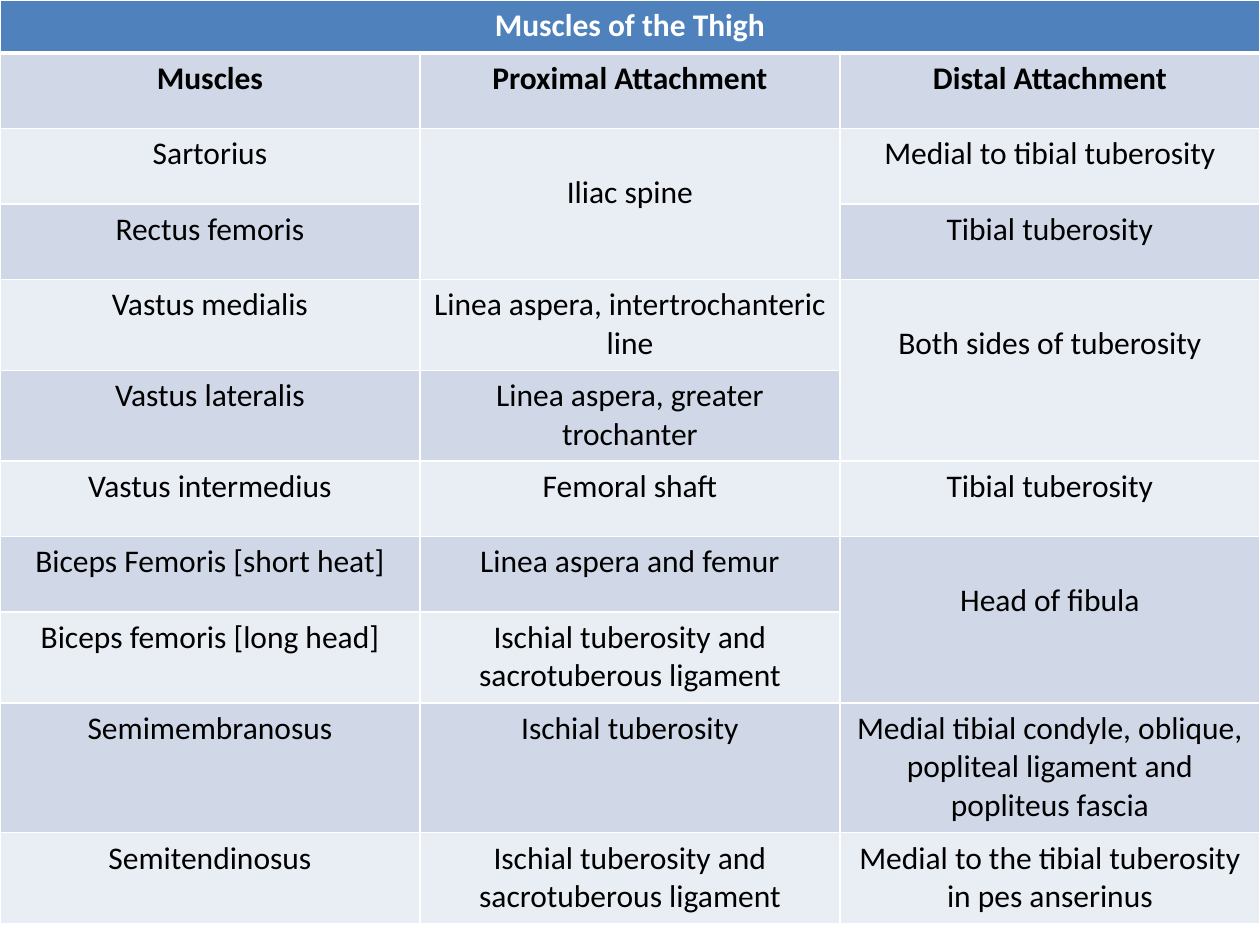
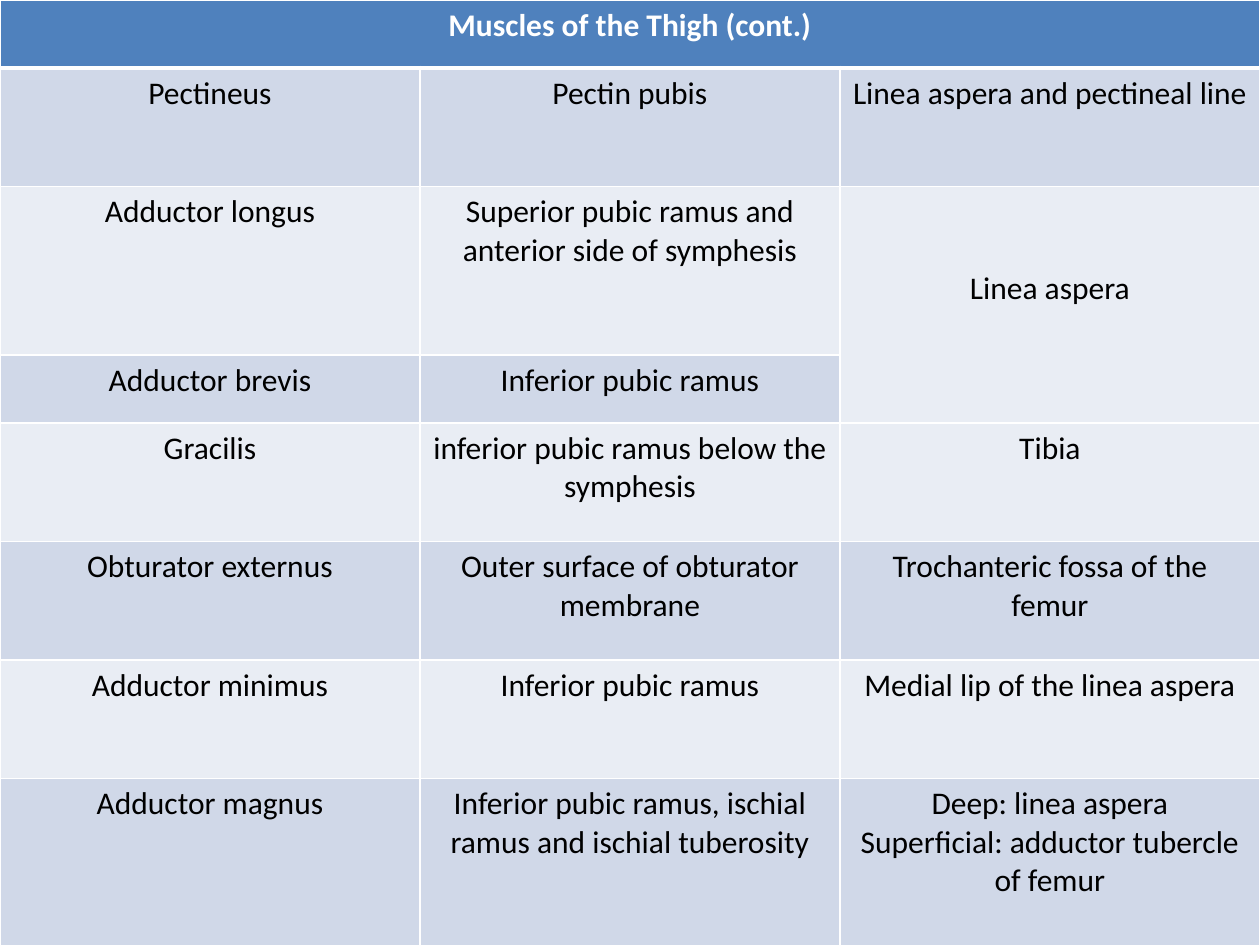
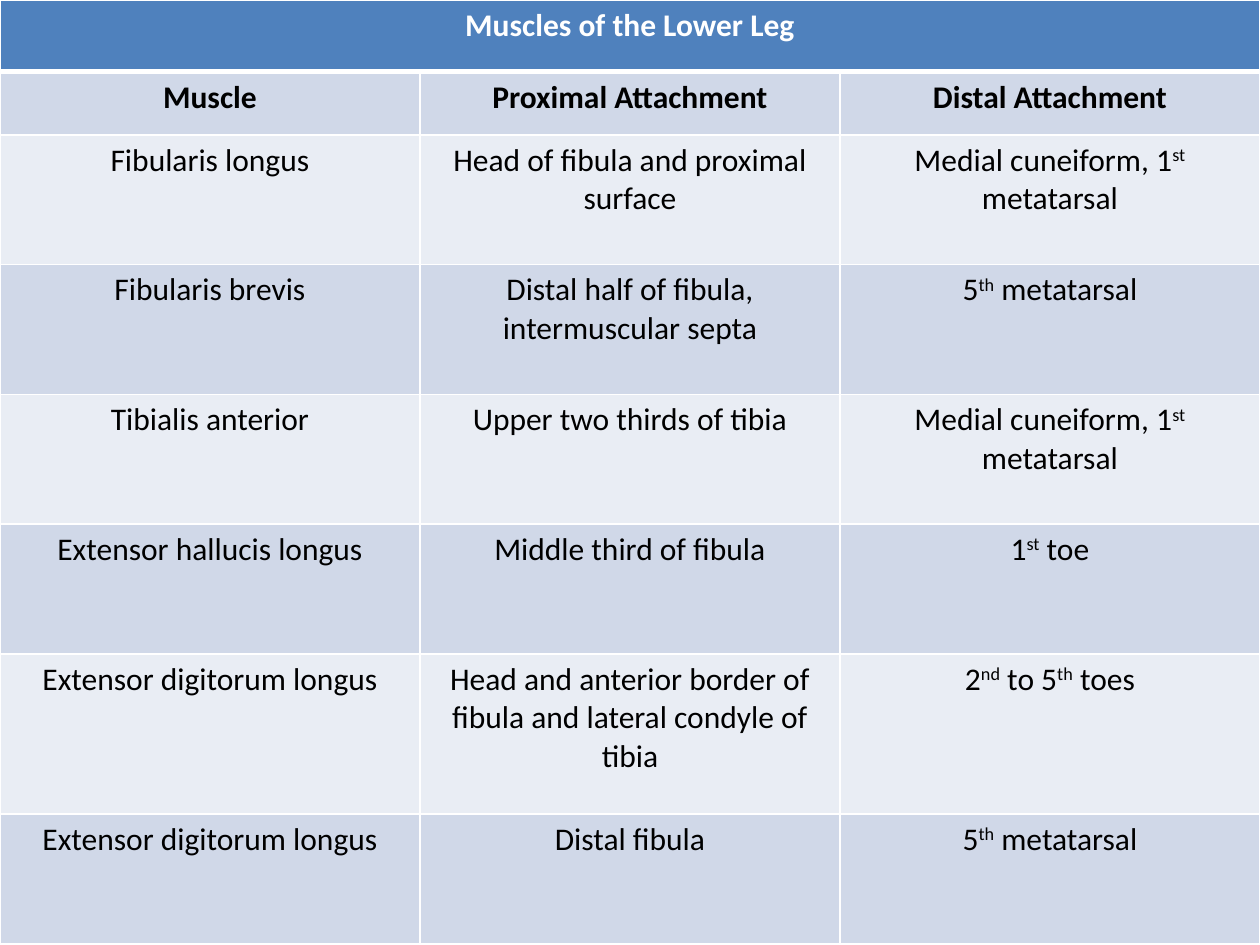
from lxml import etree
from pptx import Presentation
from pptx.dml.color import RGBColor
from pptx.enum.text import PP_ALIGN as Align
from pptx.oxml.ns import qn
from pptx.util import Inches, Pt

# Shared style
HEADER_BLUE = RGBColor(0x4F, 0x81, 0xBD)
BAND_DARK = RGBColor(0xD0, 0xD8, 0xE8)
BAND_LIGHT = RGBColor(0xE9, 0xED, 0xF4)
WHITE = RGBColor(0xFF, 0xFF, 0xFF)
BLACK = RGBColor(0, 0, 0)
FONT = "Calibri"
TEXT_SIZE = Pt(18)
LINE_HEIGHT = 0.305
THIN, THICK = Pt(1), Pt(3)
COLUMNS = 3
WIDTH, HEIGHT = Inches(10), Inches(7.5)

# Table content: None continues the cell above, ^...^ is superscript
ATTACHMENTS = ("Proximal Attachment", "Distal Attachment")
THIGH = [
    ("Muscles", *ATTACHMENTS),
    ("Sartorius", "Iliac spine", "Medial to tibial tuberosity"),
    ("Rectus femoris", None, "Tibial tuberosity"),
    ("Vastus medialis", "Linea aspera, intertrochanteric line",
     "Both sides of tuberosity"),
    ("Vastus lateralis", "Linea aspera, greater trochanter", None),
    ("Vastus intermedius", "Femoral shaft", "Tibial tuberosity"),
    ("Biceps Femoris [short heat]", "Linea aspera and femur", "Head of fibula"),
    ("Biceps femoris [long head]",
     "Ischial tuberosity and sacrotuberous ligament", None),
    ("Semimembranosus", "Ischial tuberosity",
     "Medial tibial condyle, oblique, popliteal ligament and popliteus fascia"),
    ("Semitendinosus", "Ischial tuberosity and sacrotuberous ligament",
     "Medial to the tibial tuberosity in pes anserinus"),
]
THIGH_CONTINUED = [
    ("Pectineus", "Pectin pubis", "Linea aspera and pectineal line"),
    ("Adductor longus", "Superior pubic ramus and anterior side of symphesis",
     "Linea aspera"),
    ("Adductor brevis", "Inferior pubic ramus", None),
    ("Gracilis", "inferior pubic ramus below the symphesis", "Tibia"),
    ("Obturator externus", "Outer surface of obturator membrane",
     "Trochanteric fossa of the femur"),
    ("Adductor minimus", "Inferior pubic ramus", "Medial lip of the linea aspera"),
    ("Adductor magnus",
     "Inferior pubic ramus, ischial ramus and ischial tuberosity",
     "Deep: linea aspera\nSuperficial: adductor tubercle of femur"),
]
LOWER_LEG = [
    ("Muscle", *ATTACHMENTS),
    ("Fibularis longus", "Head of fibula and proximal surface",
     "Medial cuneiform, 1^st^ metatarsal"),
    ("Fibularis brevis", "Distal half of fibula, intermuscular septa",
     "5^th^ metatarsal"),
    ("Tibialis anterior", "Upper two thirds of tibia",
     "Medial cuneiform, 1^st^ metatarsal"),
    ("Extensor hallucis longus", "Middle third of fibula", "1^st^ toe"),
    ("Extensor digitorum longus",
     "Head and anterior border of fibula and lateral condyle of tibia",
     "2^nd^ to 5^th^ toes"),
    ("Extensor digitorum longus", "Distal fibula", "5^th^ metatarsal"),
]


class MuscleDeck:
    """Holds the presentation, the current slide and the table style."""

    def __init__(self):
        self.presentation = Presentation()
        self.presentation.slide_width = WIDTH
        self.presentation.slide_height = HEIGHT
        self.slide = None

    def add_slide(self):
        blank = self.presentation.slide_layouts[6]
        self.slide = self.presentation.slides.add_slide(blank)

    def fill_text(self, cell, text, color, bold):
        text_frame = cell.text_frame
        for index, line in enumerate(text.split("\n")):
            paragraph = text_frame.add_paragraph() if index else text_frame.paragraphs[0]
            paragraph.alignment = Align.CENTER
            for part, words in enumerate(line.split("^")):
                run = paragraph.add_run()
                run.text = words
                run.font.name, run.font.size = FONT, TEXT_SIZE
                run.font.bold = bold
                run.font.color.rgb = color
                if part % 2:
                    run.font._element.set("baseline", "30000")

    def style_cell(self, cell, fill, top=THIN, bottom=THIN):
        cell.fill.solid()
        cell.fill.fore_color.rgb = fill
        properties = cell._tc.get_or_add_tcPr()
        sides = {"lnL": THIN, "lnR": THIN, "lnT": top, "lnB": bottom}
        for index, (side, width) in enumerate(sides.items()):
            border = etree.Element(qn(f"a:{side}"), w=str(int(width)))
            solid = etree.SubElement(border, qn("a:solidFill"))
            etree.SubElement(solid, qn("a:srgbClr"), val=str(WHITE))
            properties.insert(index, border)

    def add_table(self, title, rows, row_heights, has_heads=True, lowered_lines=1):
        """Draw a titled table; merged cells start lowered_lines further down."""
        frame = self.slide.shapes.add_table(
            len(rows) + 1, COLUMNS, 0, 0, WIDTH, Inches(sum(row_heights)))
        table = frame.table
        table.first_row = table.horz_banding = False
        for row, height in zip(table.rows, row_heights):
            row.height = Inches(height)

        # Title row
        for column in range(COLUMNS):
            self.style_cell(table.cell(0, column), HEADER_BLUE, bottom=THICK)
        table.cell(0, 0).merge(table.cell(0, COLUMNS - 1))
        self.fill_text(table.cell(0, 0), title, WHITE, True)

        # Banded body rows
        for row_index, texts in enumerate(rows, start=1):
            fill = BAND_DARK if row_index % 2 else BAND_LIGHT
            top = THICK if row_index == 1 else THIN
            for column, text in enumerate(texts):
                cell = table.cell(row_index, column)
                self.style_cell(cell, fill, top=top)
                if text is None:
                    above = table.cell(row_index - 1, column)
                    above.merge(cell)
                    above.margin_top = Inches(0.05 + lowered_lines * LINE_HEIGHT)
                else:
                    self.fill_text(cell, text, BLACK, has_heads and row_index == 1)


def main():
    deck = MuscleDeck()

    # Thigh
    deck.add_slide()
    deck.add_table("Muscles of the Thigh", THIGH,
                   [0.42, 0.6, 0.6, 0.6, 0.72, 0.72, 0.6, 0.6, 0.72, 1.03, 0.72])

    # Thigh, continued
    deck.add_slide()
    deck.add_table("Muscles of the Thigh (cont.)", THIGH_CONTINUED,
                   [0.54, 0.94, 1.34, 0.54, 0.94, 0.94, 0.94, 1.34],
                   has_heads=False, lowered_lines=2)

    # Lower leg
    deck.add_slide()
    deck.add_table("Muscles of the Lower Leg", LOWER_LEG,
                   [0.57, 0.5, 1.03, 1.03, 1.03, 1.03, 1.27, 1.03])

    deck.presentation.save("out.pptx")


if __name__ == "__main__":
    main()
